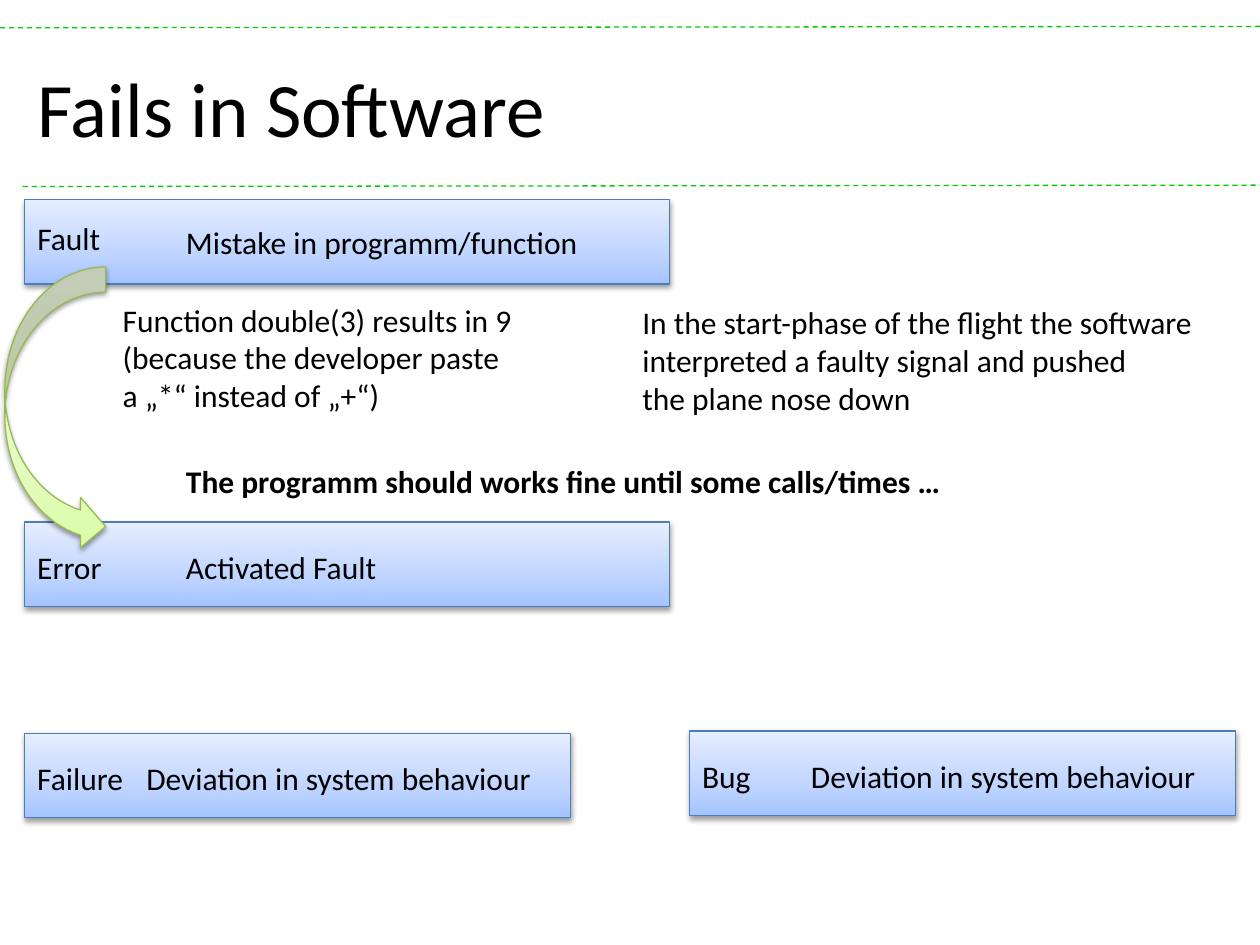
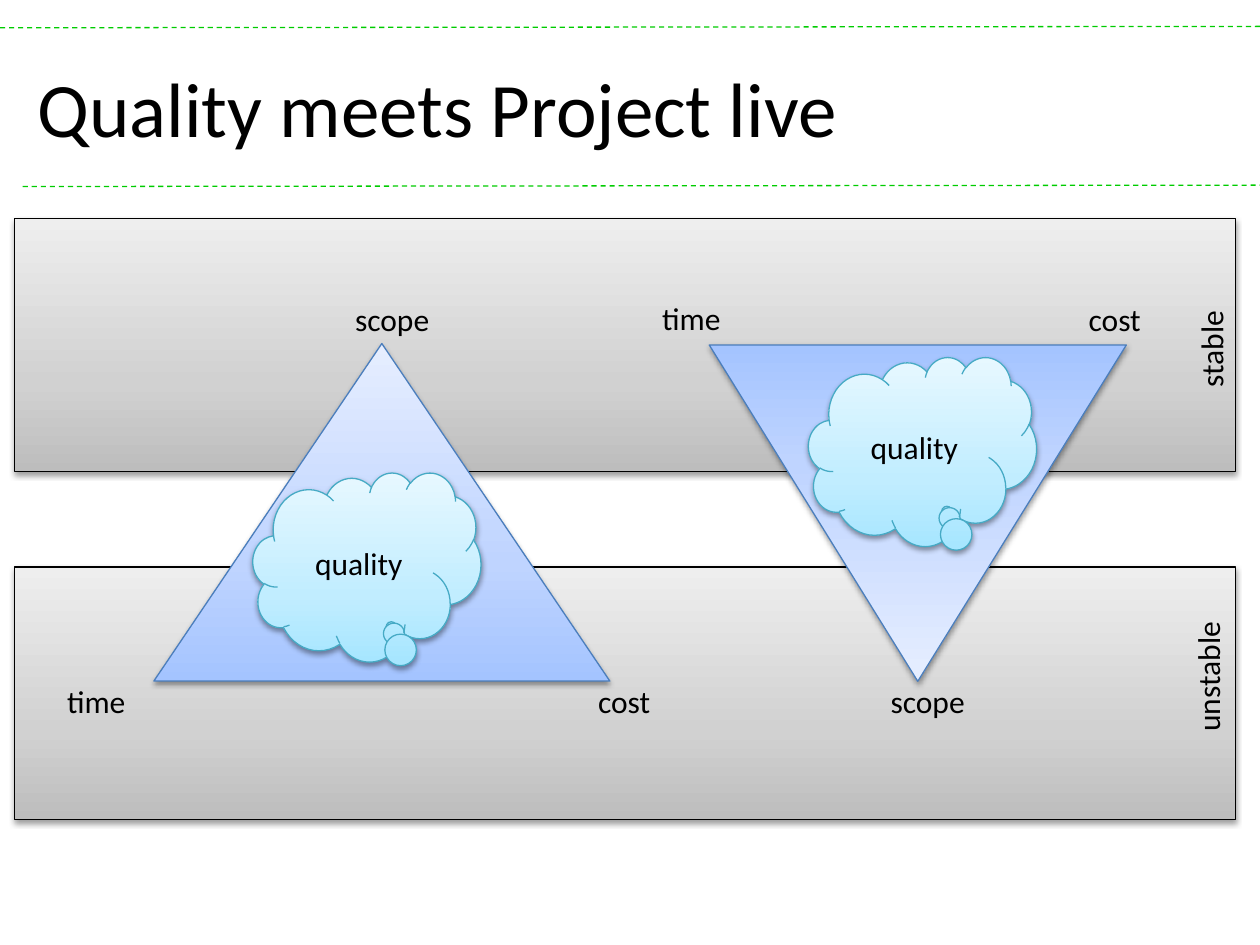
from copy import deepcopy
from dataclasses import dataclass

from lxml import etree
from pptx import Presentation
from pptx import util as u
from pptx.dml.color import RGBColor
from pptx.enum import dml, shapes, text
from pptx.oxml.ns import qn

Pt = u.Pt
MSO = shapes.MSO_SHAPE


@dataclass(frozen=True)
class Theme:
    """Gradients are (line, bottom, middle, top) colours."""
    font: str = "Calibri"
    title: int = 44
    body: int = 18
    ink: str = "000000"
    rule: str = "00CC00"
    line: float = 0.75
    blue: tuple = ("4B7EBC", "A4C4FF", "BFD4FF", "E6EEFF")
    green: tuple = ("98B955", "DAFDA7", "E4FCC2", "F5FFE7")
    grey: tuple = ("000000", "BDBDBD", "D1D1D1", "EEEEEE")
    cyan: tuple = ("46AAC5", "A7E6FF", "C1EDFF", "E7F8FF")


T = Theme()


def write(sp, words, size=T.body, bold=False, align=text.PP_ALIGN.LEFT,
          anchor=text.MSO_ANCHOR.TOP, wrap=False, rotation=0):
    sp.rotation = rotation
    tf = sp.text_frame
    tf.word_wrap, tf.vertical_anchor = wrap, anchor
    p = tf.paragraphs[0]
    p.text, p.alignment = words, align
    for r in p.runs:
        r.font.name, r.font.size, r.font.bold = T.font, Pt(size), bold
        r.font.color.rgb = RGBColor.from_string(T.ink)


def add_gradient_shape(s, kind, box, colours):
    """Preset shape with a three-stop upward gradient and a soft shadow below."""
    sp = s.shapes.add_shape(kind, *map(Pt, box))
    line, *stops = colours
    sp.line.color.rgb = RGBColor.from_string(line)
    sp.line.width = Pt(T.line)
    sp.fill.gradient()
    sp.fill.gradient_angle = 90
    gs_list = sp._element.spPr.find(".//" + qn("a:gsLst"))
    gs_list.append(deepcopy(gs_list[-1]))
    for stop, position, colour in zip(sp.fill.gradient_stops, (0, 0.35, 1), stops):
        stop.position = position
        stop.color.rgb = RGBColor.from_string(colour)
    sp.shadow.inherit = False
    effects = sp._element.spPr.find(qn("a:effectLst"))
    shadow = etree.SubElement(effects, qn("a:outerShdw"), blurRad=str(Pt(3.1)),
                              dist=str(Pt(1.6)), dir="5400000", rotWithShape="0")
    black = etree.SubElement(shadow, qn("a:srgbClr"), val="000000")
    etree.SubElement(black, qn("a:alpha"), val="38000")
    return sp


prs = Presentation()
prs.slide_width, prs.slide_height = Pt(720), Pt(540)

# Both slides: two dashed rules with the title between them
slides = []
for title in ("Fails in Software", "Quality meets Project live"):
    s = prs.slides.add_slide(prs.slide_layouts[6])
    for ends in ((0, 15.9, 720, 15.1), (13, 106.6, 721.4, 105.8)):
        rule = s.shapes.add_connector(shapes.MSO_CONNECTOR.STRAIGHT, *map(Pt, ends))
        rule.line.color.rgb = RGBColor.from_string(T.rule)
        rule.line.width = Pt(T.line)
        rule.line.dash_style = dml.MSO_LINE.DASH
        etree.SubElement(rule._element.spPr, qn("a:effectLst"))
    sp = s.shapes.add_textbox(Pt(14.4), Pt(15.8), Pt(697.7), Pt(90))
    write(sp, title, size=T.title, anchor=text.MSO_ANCHOR.MIDDLE, wrap=True)
    slides.append(s)
fails, quality = slides

# Slide 1: each term in a bar beside its meaning
# bar left, top, width; term, its width and drop; meaning, its left, width and drop
bars = [
    (14.2, 114.2, 368.6, "Fault", 51, 7.5, "Mistake in programm/function", 99.2, 240.5, 9.8),
    (14.2, 298.3, 368.6, "Error", 52, 11.3, "Activated Fault", 99.2, 124.6, 11.3),
    (14.2, 419, 312, "Failure", 64, 11.3, "Deviation in system behaviour", 76.5, 237, 11.3),
    (394.1, 417.8, 312, "Bug", 42.5, 11.3, "Deviation in system behaviour", 456.3, 237, 11.3),
]
for left, top, width, term, term_w, term_dy, meaning, x, meaning_w, meaning_dy in bars:
    add_gradient_shape(fails, MSO.RECTANGLE, (left, top, width, 48.2), T.blue)
    for words, wx, ww, dy in ((term, left, term_w, term_dy),
                              (meaning, x, meaning_w, meaning_dy)):
        write(fails.shapes.add_textbox(*map(Pt, (wx, top + dy, ww, 29))), words)

examples = [
    ("In the start-phase of the flight the software\n"
     "interpreted a faulty signal and pushed\nthe plane nose down",
     (360, 169.8, 333.4, 72.7), False),
    ("Function double(3) results in 9\n(because the developer paste\n"
     "a „*“ instead of „+“)", (63, 168.2, 239.8, 72.7), False),
    ("The programm should works fine until some calls/times …",
     (99.2, 260.2, 449.3, 29), True),
]
for words, box, bold in examples:
    write(fails.shapes.add_textbox(*map(Pt, box)), words, bold=bold)
add_gradient_shape(fails, MSO.CURVED_RIGHT_ARROW, (2.8, 152.6, 57.6, 162.7), T.green)

# Slide 2: stable and unstable bands behind two opposite triangles
for top in (125, 324):
    add_gradient_shape(quality, MSO.RECTANGLE, (8.3, top, 697.7, 144.5), T.grey)

triangles = [
    ((87.9, 196.3, 260.6, 192.9), False, (144.5, 270)),
    ((405.3, 197.2, 238.3, 192.2), True, (462, 204)),
]
for box, flipped, cloud_at in triangles:
    sp = add_gradient_shape(quality, MSO.ISOSCELES_TRIANGLE, box, T.blue)
    if flipped:
        sp._element.spPr.xfrm.set("flipV", "1")
    cloud = add_gradient_shape(quality, MSO.CLOUD_CALLOUT, (*cloud_at, 130.3, 108), T.cyan)
    cloud.adjustments[0], cloud.adjustments[1] = 0.107, 0.318
    write(cloud, "quality", align=text.PP_ALIGN.CENTER,
          anchor=text.MSO_ANCHOR.MIDDLE, wrap=True)

labels = [
    ("scope", 195.8, 168, 57.3, 0), ("time", 31.2, 386, 48, 0), ("cost", 334.7, 386, 44.5, 0),
    ("scope", 501.8, 386, 57.3, 0), ("time", 371.3, 167.3, 48, 0), ("cost", 615, 168, 44.5, 0),
    ("stable", 662.6, 184.6, 59, 270), ("unstable", 651.2, 371.8, 77.8, 270),
]
for words, x, y, w, rotation in labels:
    write(quality.shapes.add_textbox(*map(Pt, (x, y, w, 29))), words, rotation=rotation)

prs.save("out.pptx")
